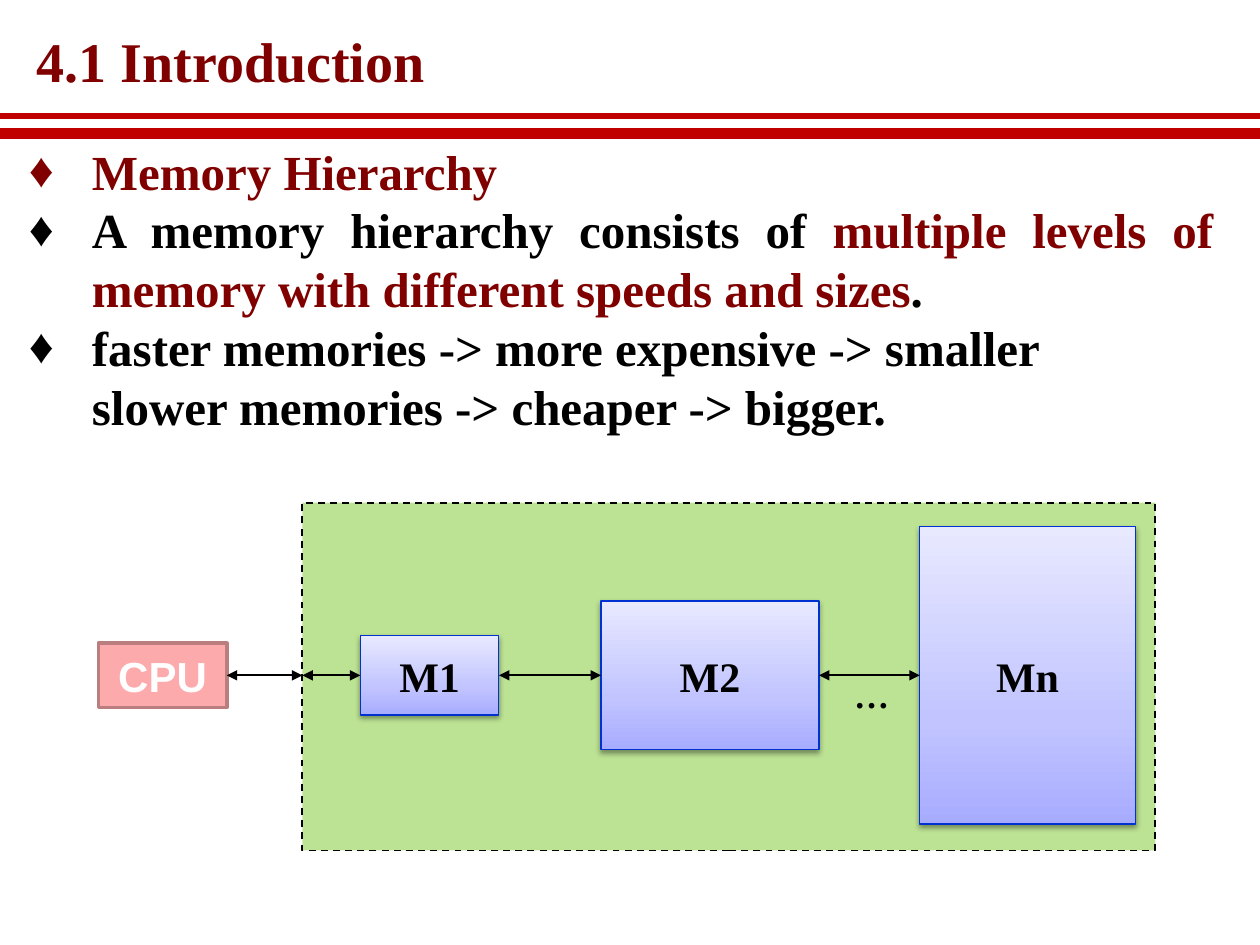
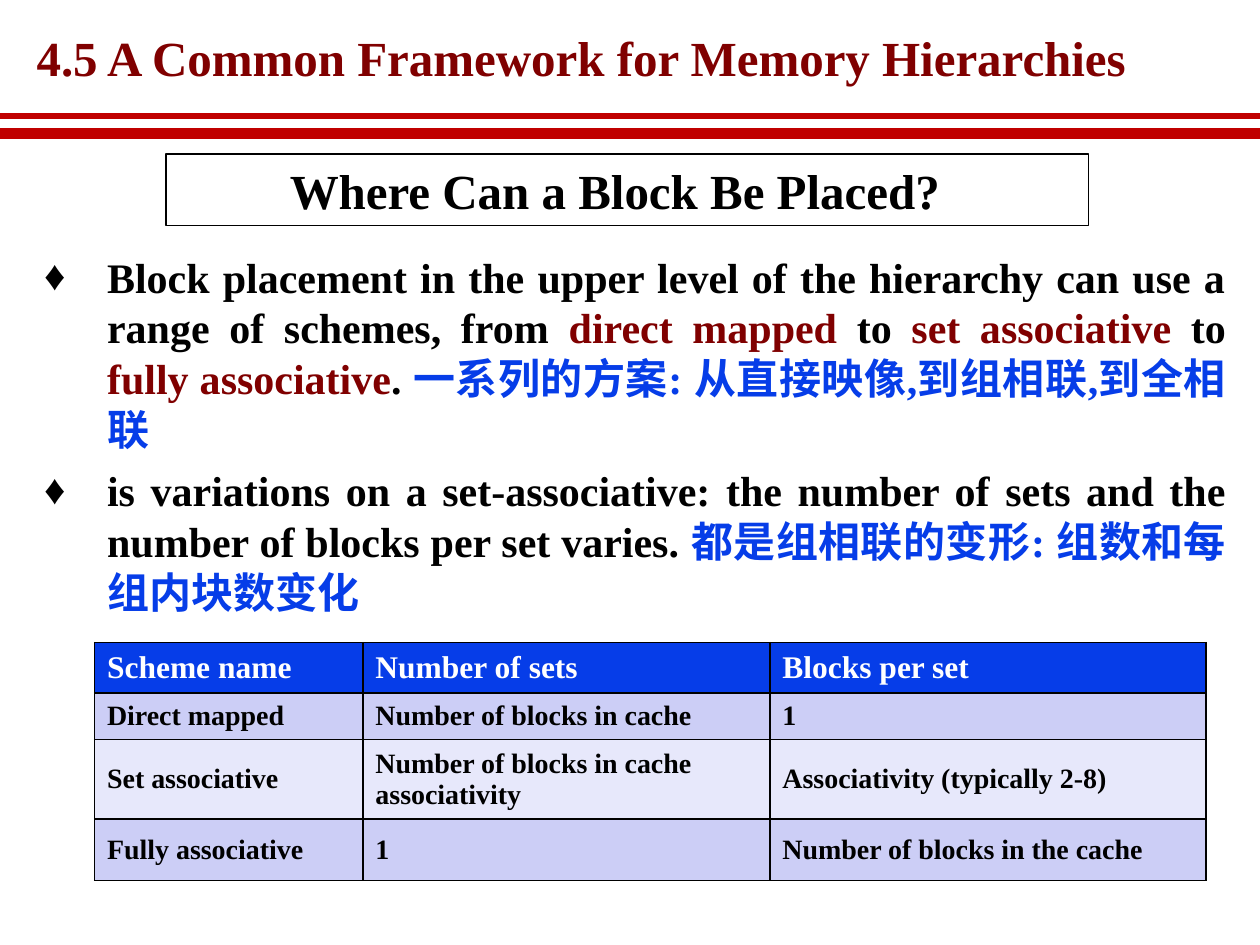
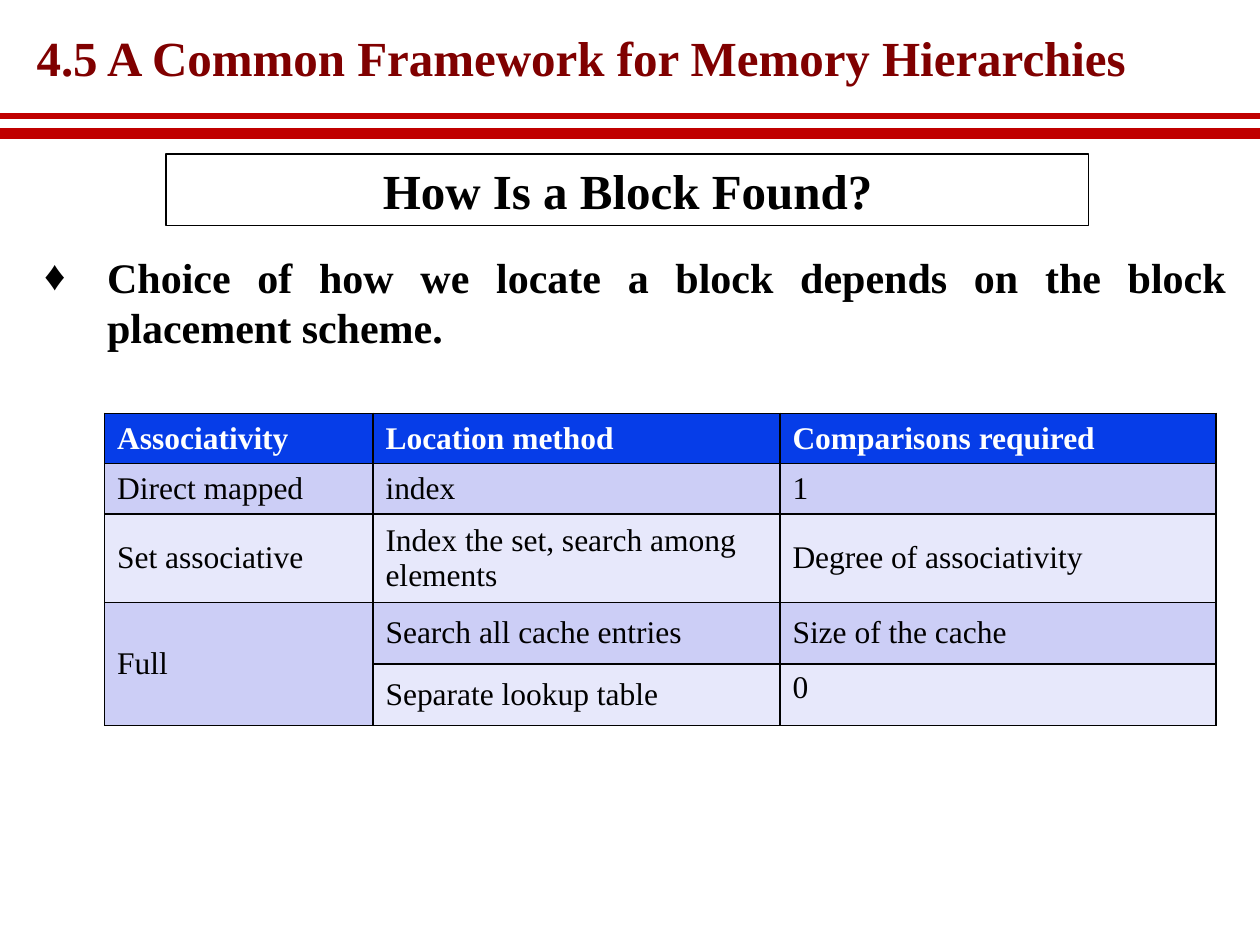
from dataclasses import dataclass

from lxml import etree
from pptx import Presentation
from pptx.dml.color import RGBColor
from pptx.enum.dml import MSO_LINE
from pptx.enum.shapes import MSO_CONNECTOR, MSO_SHAPE
from pptx.enum.text import MSO_ANCHOR, MSO_AUTO_SIZE, PP_ALIGN
from pptx.oxml.ns import qn
from pptx.util import Inches, Pt

LEFT, MID, JUST = PP_ALIGN.LEFT, PP_ALIGN.CENTER, PP_ALIGN.JUSTIFY
TOP, CENTER = MSO_ANCHOR.TOP, MSO_ANCHOR.MIDDLE
RECT, LINE = MSO_SHAPE.RECTANGLE, MSO_CONNECTOR.STRAIGHT
DASH, FIXED = MSO_LINE.DASH, MSO_AUTO_SIZE.NONE

WIDTH, HEIGHT = Inches(10), Inches(7.5)
UNIT = WIDTH // 100


@dataclass(frozen=True)
class Theme:
    serif: str = "Times New Roman"
    sans: str = "Arial"
    black: str = "000000"
    white: str = "FFFFFF"
    wine: str = "800000"
    red: str = "C00000"
    blue: str = "063DE8"
    edge: str = "0032D2"
    green: str = "92D050"
    pink: str = "FDAAAC"
    rose: str = "BB7E7F"
    bands: tuple = ("E7E8FB", "CCCEF6")
    fade: tuple = ((0, "A8ACFF"), (35, "C1C4FF"), (100, "E8E9FF"))
    big: int = 32
    head: int = 28
    text: int = 24
    dots: int = 20
    cell: int = 18
    small: int = 16


T = Theme()


@dataclass(frozen=True)
class Box:
    x: float
    y: float
    w: float
    h: float

    def sub(self, x, y, w, h):
        return Box(self.x + x, self.y + y, w, h)

    def emu(self):
        return [round(n * UNIT) for n in (self.x, self.y, self.w, self.h)]


PAGE = Box(0, 0, 100, 75)


def node(parent, tag, **attrs):
    return etree.SubElement(parent, qn(tag), {k: str(v) for k, v in attrs.items()})


def tint(color):
    return RGBColor.from_string(color)


def write(frame, paras, size=T.text, color=T.black, font=T.serif, bold=True,
          align=LEFT, anchor=TOP, pad=(0.1, 0.05, 0.1, 0.05), lead=None,
          before=0, bullet=None, wrap=True):
    frame.auto_size = FIXED
    frame.word_wrap = wrap
    frame.vertical_anchor = anchor
    (frame.margin_left, frame.margin_top,
     frame.margin_right, frame.margin_bottom) = map(Inches, pad)
    for i, runs in enumerate(paras):
        para = frame.add_paragraph() if i else frame.paragraphs[0]
        para.alignment, para.space_before = align, Pt(before)
        if lead:
            para.line_spacing = lead
        for text, hue in [(runs, color)] if isinstance(runs, str) else runs:
            for j, part in enumerate(text.split("\n")):
                if j:
                    para.add_line_break()
                run = para.add_run()
                run.text = part
                face = run.font
                face.name, face.size, face.bold = font, Pt(size), bold
                face.color.rgb = tint(hue)
        if bullet:
            mark(para, bullet[i])


def mark(para, sign):
    props = para._p.get_or_add_pPr()
    props.set("marL", str(Inches(0.5)))
    props.set("indent", str(Inches(-0.5) if sign else 0))
    if sign:
        node(props, "a:buFont", typeface=T.sans)
        node(props, "a:buChar", char=sign)
    else:
        node(props, "a:buNone")


def rule(slide, start, end, color=T.black, width=1, arrow=False):
    line = slide.shapes.add_connector(
        LINE, *[round(n * UNIT) for n in (*start, *end)])
    line.line.color.rgb, line.line.width = tint(color), Pt(width)
    if arrow:
        for tag in ("a:headEnd", "a:tailEnd"):
            node(line._element.spPr.find(qn("a:ln")), tag, type="triangle")
    node(line._element.spPr, "a:effectLst")


def block(slide, box, fill=None, edge=T.black, width=1):
    shape = slide.shapes.add_shape(RECT, *box.emu())
    shape.shadow.inherit = False
    if fill:
        shape.fill.solid()
        shape.fill.fore_color.rgb = tint(fill)
    else:
        shape.fill.background()
    shape.line.color.rgb, shape.line.width = tint(edge), Pt(width)
    return shape


def fade(shape):
    props = shape._element.spPr
    grad = etree.Element(qn("a:gradFill"), rotWithShape="1")
    stops = node(grad, "a:gsLst")
    for spot, color in T.fade:
        node(node(stops, "a:gs", pos=spot * 1000), "a:srgbClr", val=color)
    node(grad, "a:lin", ang=270 * 60000, scaled=0)
    props.replace(props.find(qn("a:noFill")), grad)
    shade = node(props.find(qn("a:effectLst")), "a:outerShdw", blurRad=Pt(3.1),
                 dist=Pt(1.6), dir=90 * 60000, rotWithShape=0)
    node(node(shade, "a:srgbClr", val=T.black), "a:alpha", val=38000)


def place(shape, box):
    shape.left, shape.top, shape.width, shape.height = box.emu()


def page(deck, title, tall, box, paras, **fmt):
    slide = deck.slides.add_slide(deck.slide_layouts[1])
    head, body = slide.placeholders
    place(head, PAGE.sub(2.2, 2.5, 95, 5))
    write(head.text_frame, [title], size=tall, color=T.wine, lead=0.87,
          pad=(0.07, 0.03, 0.07, 0.03))
    place(body, box)
    write(body.text_frame, paras, align=JUST, **fmt)
    for y, width in ((10.6, 6), (9.2, 3)):
        rule(slide, (0, y), (100, y), T.red, width)
    return slide


def chain(slide, box):
    axis = 13.7
    pool = block(slide, box.sub(16.2, 0, 67.7, 27.6), T.green)
    pool.line.dash_style = DASH
    hue = pool._element.spPr.find(qn("a:solidFill"))[0]
    node(hue, "a:alpha", val=61000)

    cpu = block(slide, box.sub(0, axis - 2.55, 10.2, 5.1), T.pink, T.rose, 2)
    write(cpu.text_frame, ["CPU"], color=T.white, font=T.sans, align=MID,
          anchor=CENTER, wrap=False)
    ends = [10.2, 16.2, 16.2]
    for name, x, w, h in (("M1", 20.8, 11, 6.3), ("M2", 39.9, 17.3, 11.8),
                          ("Mn", 65.2, 17.1, 23.6)):
        unit = block(slide, box.sub(x, axis - h / 2, w, h), None, T.edge, 0.75)
        fade(unit)
        write(unit.text_frame, [name], align=MID, anchor=CENTER)
        ends += [x, x + w]
    for a, b in zip(ends[::2], ends[1::2]):
        y = box.y + axis
        rule(slide, (box.x + a, y), (box.x + b, y), arrow=True)
    dots = slide.shapes.add_textbox(*box.sub(59, 13.1, 4.8, 4.4).emu())
    write(dots.text_frame, ["…"], size=T.dots, wrap=False)


def banner(slide, box, text, right=0.1):
    shape = block(slide, box)
    write(shape.text_frame, [text], size=T.head, align=MID, anchor=CENTER,
          pad=(0.1, 0.05, right, 0.05))


def frame(cell):
    props = cell._tc.get_or_add_tcPr()
    for i, side in enumerate("LRTB"):
        line = etree.Element(qn("a:ln" + side), w=str(Pt(1)))
        node(node(line, "a:solidFill"), "a:srgbClr", val=T.black)
        props.insert(i, line)


def fill(cell, text, **fmt):
    area = cell.text_frame
    write(area, [text], **fmt)
    cell.vertical_anchor = CENTER
    cell.margin_left = cell.margin_right = Inches(0.1)
    cell.margin_top = cell.margin_bottom = Inches(0.05)


def grid(slide, box, rows, highs, size, bold):
    table = slide.shapes.add_table(len(rows), 3, *box.emu()).table
    for col, wide in zip(table.columns, (21.3, 32.3, 34.6)):
        col.width = round(wide * UNIT)
    for r, (row, high) in enumerate(zip(rows, highs)):
        table.rows[r].height = round(high * UNIT)
        look = (dict(size=size, bold=bold) if r
                else dict(size=T.cell, color=T.white))
        for c, text in enumerate(row):
            cell = table.cell(r, c)
            cell.fill.solid()
            cell.fill.fore_color.rgb = tint(T.bands[r % 2] if r else T.blue)
            frame(cell)
            if text:
                fill(cell, text, **look)
    return table


def scheme(deck, head, paras, right=0.1):
    slide = page(deck, "4.5 A Common Framework for Memory Hierarchies", T.head,
                 PAGE.sub(2.5, 19.4, 95.8, 30.3 if len(paras) > 1 else 8.9),
                 paras, lead=Pt(29), before=6, bullet="♦" * len(paras))
    banner(slide, PAGE.sub(13.2, 12.2, 73.2, 5.7), head, right)
    return slide


def intro(deck):
    paras = [
        [("Memory Hierarchy", T.wine)],
        [("A memory hierarchy consists of ", T.black),
         ("multiple levels of memory with different speeds and sizes", T.wine),
         (".", T.black)],
        "faster memories -> more expensive -> smaller",
        "slower memories -> cheaper -> bigger.",
    ]
    slide = page(deck, "4.1 Introduction", T.big, PAGE.sub(1.3, 10.7, 96, 24.6),
                 paras, size=T.head, lead=Pt(33.6),
                 bullet=("♦", "♦", "♦", None))
    chain(slide, PAGE.sub(7.8, 39.9, 83.9, 27.6))


def put(deck):
    paras = [
        [("Block placement in the upper level of the hierarchy can use a "
          "range of schemes, from ", T.black),
         ("direct mapped ", T.wine), ("to ", T.black),
         ("set associative ", T.wine), ("to ", T.black),
         ("fully associative", T.wine), (". ", T.black),
         ("一系列的方案: 从直接映像,到组相联,到全相联", T.blue)],
        [("is variations on a set-associative: the number of sets and the "
          "number of blocks per set varies. ", T.black),
         ("都是组相联的变形: 组数和每组内块数变化", T.blue)],
    ]
    slide = scheme(deck, "Where Can a Block Be Placed?", paras, 0.3)
    rows = [
        ("Scheme name", "Number of sets", "Blocks per set"),
        ("Direct mapped", "Number of blocks in cache", "1"),
        ("Set associative", "Number of blocks in cache\nassociativity",
         "Associativity (typically 2-8)"),
        ("Fully associative", "1", "Number of blocks in the cache"),
    ]
    grid(slide, PAGE.sub(7.5, 51, 88.2, 18.9), rows, (4, 3.7, 6.3, 4.9),
         T.small, True)


def find(deck):
    slide = scheme(deck, "How Is a Block Found?", [
        "Choice of how we locate a block depends on the block placement scheme."])
    rows = [
        ("Associativity", "Location method", "Comparisons required"),
        ("Direct mapped", "index", "1"),
        ("Set associative", "Index the set, search among elements",
         "Degree of associativity"),
        ("Full", "Search all cache entries", "Size of the cache"),
        (None, "Separate lookup table", "0"),
    ]
    table = grid(slide, PAGE.sub(8.3, 32.8, 88.2, 24.8), rows,
                 (4, 4, 7, 4.9, 4.9), T.cell, False)
    table.cell(3, 0).merge(table.cell(4, 0))
    table.cell(4, 2).vertical_anchor = TOP


def main():
    deck = Presentation()
    deck.slide_width, deck.slide_height = WIDTH, HEIGHT
    for build in (intro, put, find):
        build(deck)
    deck.save("out.pptx")


if __name__ == "__main__":
    main()
